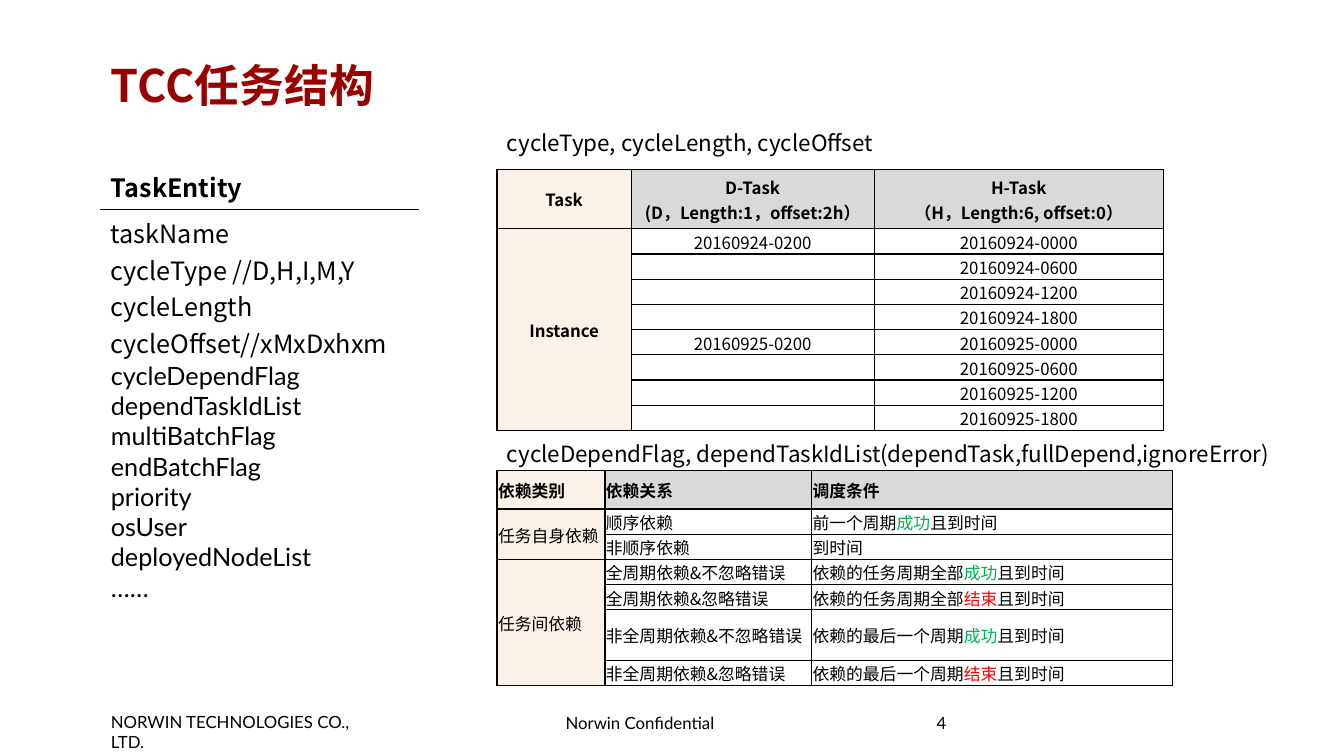
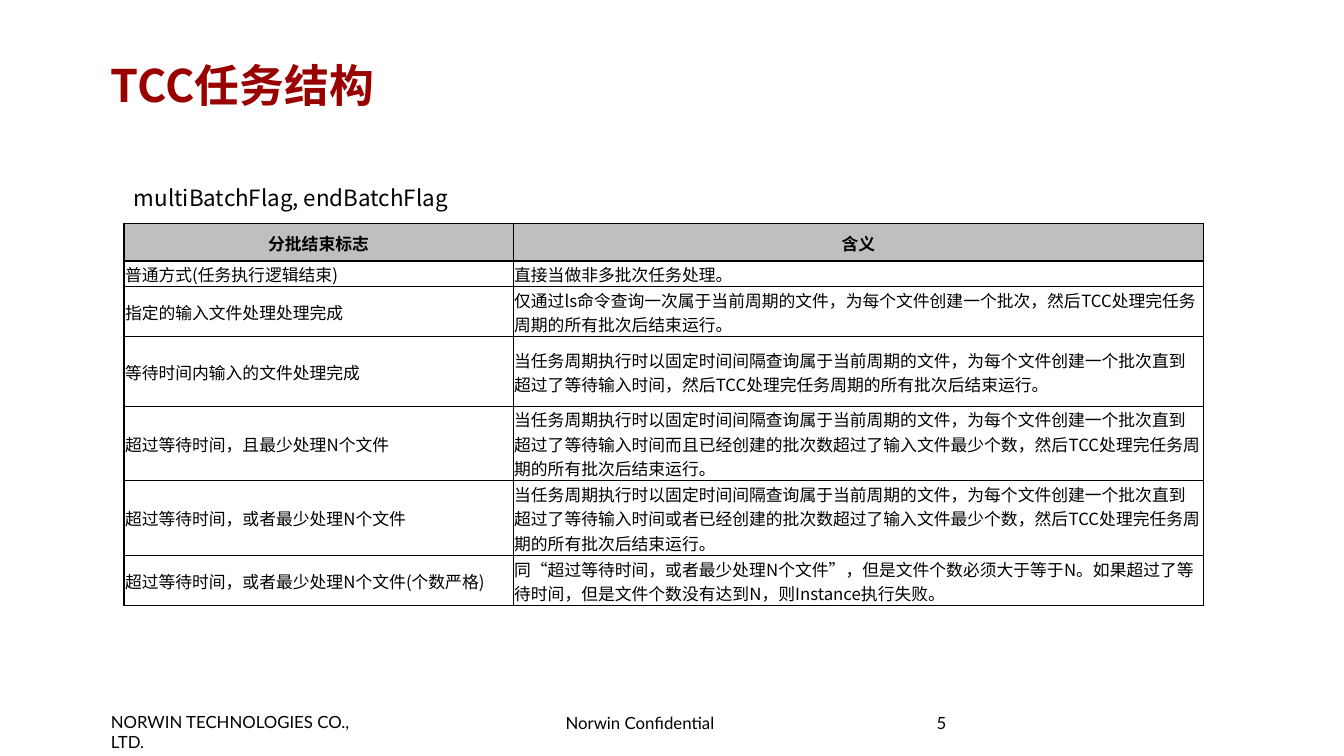
from lxml.etree import SubElement as sub
from pptx import Presentation
from pptx.dml.color import RGBColor
from pptx.enum.text import MSO_ANCHOR as Anchor, PP_ALIGN as Align
from pptx.oxml.ns import qn
from pptx.util import Emu, Pt

SCALE = 9144
NOTO, LATO = "Noto Sans CJK SC", "Lato"
BLACK, WHITE, RED = "000000", "FFFFFF", "990000"
CREAM, PALE, GREY = "FAF1E8", "D9D9D9", "BFBFBF"
TINTS = {"成功": "00B050", "结束": "FF0000"}
ONE, TWO, THREE = 25, 50, 74

TASKS = [
    ["Task", "D-Task\n(D，Length:1，offset:2h）", "H-Task\n（H，Length:6, offset:0）"],
    ["Instance", "20160924-0200", "20160924-0000"],
    ["", "", "20160924-0600"],
    ["", "", "20160924-1200"],
    ["", "", "20160924-1800"],
    ["", "20160925-0200", "20160925-0000"],
    ["", "", "20160925-0600"],
    ["", "", "20160925-1200"],
    ["", "", "20160925-1800"],
]
LINKS = [
    ["依赖类别", "依赖关系", "调度条件"],
    ["任务自身依赖", "顺序依赖", "前一个周期|成功|且到时间"],
    ["", "非顺序依赖", "到时间"],
    ["任务间依赖", "全周期依赖&不忽略错误", "依赖的任务周期全部|成功|且到时间"],
    ["", "全周期依赖&忽略错误", "依赖的任务周期全部|结束|且到时间"],
    ["", "非全周期依赖&不忽略错误", "依赖的最后一个周期|成功|且到时间"],
    ["", "非全周期依赖&忽略错误", "依赖的最后一个周期|结束|且到时间"],
]
FIELDS = [
    "taskName", "cycleType //D,H,I,M,Y", "cycleLength", "cycleOffset//xMxDxhxm",
    "cycleDependFlag", "dependTaskIdList", "multiBatchFlag", "endBatchFlag",
    "priority", "osUser", "deployedNodeList", "……",
]
ENDINGS = [
    ["分批结束标志", "含义"],
    ["普通方式(任务执行逻辑结束)", "直接当做非多批次任务处理。"],
    ["指定的输入文件处理处理完成",
     "仅通过ls命令查询一次属于当前周期的文件，为每个文件创建一个批次，"
     "然后TCC处理完任务周期的所有批次后结束运行。"],
    ["等待时间内输入的文件处理完成",
     "当任务周期执行时以固定时间间隔查询属于当前周期的文件，为每个文件创建一个批次"
     "直到超过了等待输入时间，然后TCC处理完任务周期的所有批次后结束运行。"],
    ["超过等待时间，且最少处理N个文件",
     "当任务周期执行时以固定时间间隔查询属于当前周期的文件，为每个文件创建一个批次"
     "直到超过了等待输入时间而且已经创建的批次数超过了输入文件最少个数，"
     "然后TCC处理完任务周期的所有批次后结束运行。"],
    ["超过等待时间，或者最少处理N个文件",
     "当任务周期执行时以固定时间间隔查询属于当前周期的文件，为每个文件创建一个批次"
     "直到超过了等待输入时间或者已经创建的批次数超过了输入文件最少个数，"
     "然后TCC处理完任务周期的所有批次后结束运行。"],
    ["超过等待时间，或者最少处理N个文件(个数严格)",
     "同“超过等待时间，或者最少处理N个文件”，但是文件个数必须大于等于N。"
     "如果超过了等待时间，但是文件个数没有达到N，则Instance执行失败。"],
]


def px(size):
    """Turn px into EMU."""
    return Emu(size * SCALE)


def hue(code):
    """Turn a hex string into a colour."""
    return RGBColor.from_string(code)


def assign(item, form):
    """Set each attribute of a format dict."""
    for name, value in form.items():
        setattr(item, name, value)


def inset(left, top, right, base):
    """Give margins as a format dict."""
    names = ("margin_left", "margin_top", "margin_right", "margin_bottom")
    return dict(zip(names, map(px, (left, top, right, base))))


TIGHT = {**inset(1, 1, 1, 0), "vertical_anchor": Anchor.MIDDLE}


def write(frame, text, size, color=BLACK, bold=False, noto=99, form=None):
    """Fill a frame; the first noto lines are Noto, and bars part the tints."""
    for num, line in enumerate(text.split("\n")):
        para = frame.add_paragraph() if num else frame.paragraphs[0]
        assign(para, form or {})
        face = NOTO if num < noto else LATO
        for part in filter(None, line.split("|")):
            run = para.add_run()
            run.text = part
            assign(run.font, {"size": Pt(size), "bold": bold, "name": face})
            run.font.color.rgb = hue(TINTS.get(part, color))
            sub(run.font._element, qn("a:ea"), typeface=face)
        if not line:
            sub(para._p, qn("a:endParaRPr"), sz=str(size * 100))


def label(slide, text, box, size=16, frame=None, **style):
    """Add a text box."""
    area = slide.shapes.add_textbox(*map(px, box)).text_frame
    assign(area, {"word_wrap": True, **(frame or {})})
    write(area, text, size, **style)


def edge(cell, sides):
    """Draw black borders on the named sides of a cell."""
    for side in sides:
        line = sub(cell._tc.get_or_add_tcPr(), qn(f"a:ln{side}"), w=str(Pt(1)))
        fill = sub(line, qn("a:solidFill"))
        sub(fill, qn("a:srgbClr"), val=BLACK)


def grid(slide, rows, spot, cols, highs, head=WHITE, lead=None, size=12, noto=99,
         pad=TIGHT, sides=("LRTB", "LRTB"), align=(Align.LEFT, Align.LEFT),
         spans=(), strong=False):
    """Add a table with a head row and a lead column."""
    box = (*spot, sum(cols), sum(highs))
    table = slide.shapes.add_table(len(rows), len(cols), *map(px, box)).table
    assign(table, {"first_row": False, "horz_banding": False})
    for col, wide in zip(table.columns, cols):
        col.width = px(wide)
    for row, high in zip(table.rows, highs):
        row.height = px(high)
    for y, row in enumerate(rows):
        body = min(y, 1)
        for x, text in enumerate(row):
            cell = table.cell(y, x)
            assign(cell, pad)
            edge(cell, sides[body])
            cell.fill.solid()
            cell.fill.fore_color.rgb = hue(lead if lead and x == 0 else WHITE if body else head)
            write(cell.text_frame, text, size, noto=noto,
                  bold=not body or (strong and x == 0), form={"alignment": align[body]})
    for first, last in spans:
        table.cell(first, 0).merge(table.cell(last, 0))


def page(deck, num):
    """Add a slide with the shared title and footers."""
    slide = deck.slides.add_slide(deck.slide_layouts[6])
    foot = {"size": 12, "noto": 0}
    label(slide, "NORWIN TECHNOLOGIES CO., LTD.", (110, 706, 268, 20),
          frame=inset(0, 0, 9, 0), **foot)
    label(slide, "Norwin Confidential", (552, 707, 167, 20),
          frame=inset(9, 0, 9, 0), **foot)
    label(slide, str(num), (929, 710, 259, 40), frame=inset(0, 0, 0, 0),
          form={"line_spacing": 0.85}, **foot)
    label(slide, "TCC任务结构", (110, 36, 1113, 95), 32, color=RED, bold=True,
          frame={**inset(0, 4, 9, 4), "vertical_anchor": Anchor.MIDDLE})
    return slide


def main():
    """Build the deck."""
    deck = Presentation()
    assign(deck, {"slide_width": px(1333), "slide_height": px(750)})

    slide = page(deck, 4)
    grid(slide, LINKS, (493, 467), (107, 205, 358), [38] + [ONE] * 4 + [TWO, ONE],
         head=PALE, lead=CREAM, spans=((1, 2), (3, 6)))
    grid(slide, TASKS, (493, 168), (133, 241, 287), [59] + [ONE] * 8,
         head=PALE, lead=CREAM, align=(Align.CENTER, Align.CENTER),
         spans=((1, 8),), strong=True)
    grid(slide, [["TaskEntity"], ["\n".join(FIELDS)]], (100, 162), (315,), (46, 395),
         size=18, noto=4, pad={}, sides=("B", "T"))
    label(slide, "cycleType, cycleLength, cycleOffset", (493, 123, 394, 37))
    label(slide, "cycleDependFlag, dependTaskIdList(dependTask,fullDepend,ignoreError)",
          (493, 432, 788, 37))

    slide = page(deck, 5)
    grid(slide, ENDINGS, (123, 222), (386, 685), (37, ONE, TWO, 69, THREE, THREE, TWO),
         head=GREY, align=(Align.CENTER, Align.LEFT))
    label(slide, "multiBatchFlag, endBatchFlag", (123, 178, 667, 37))

    deck.save("out.pptx")


if __name__ == "__main__":
    main()
